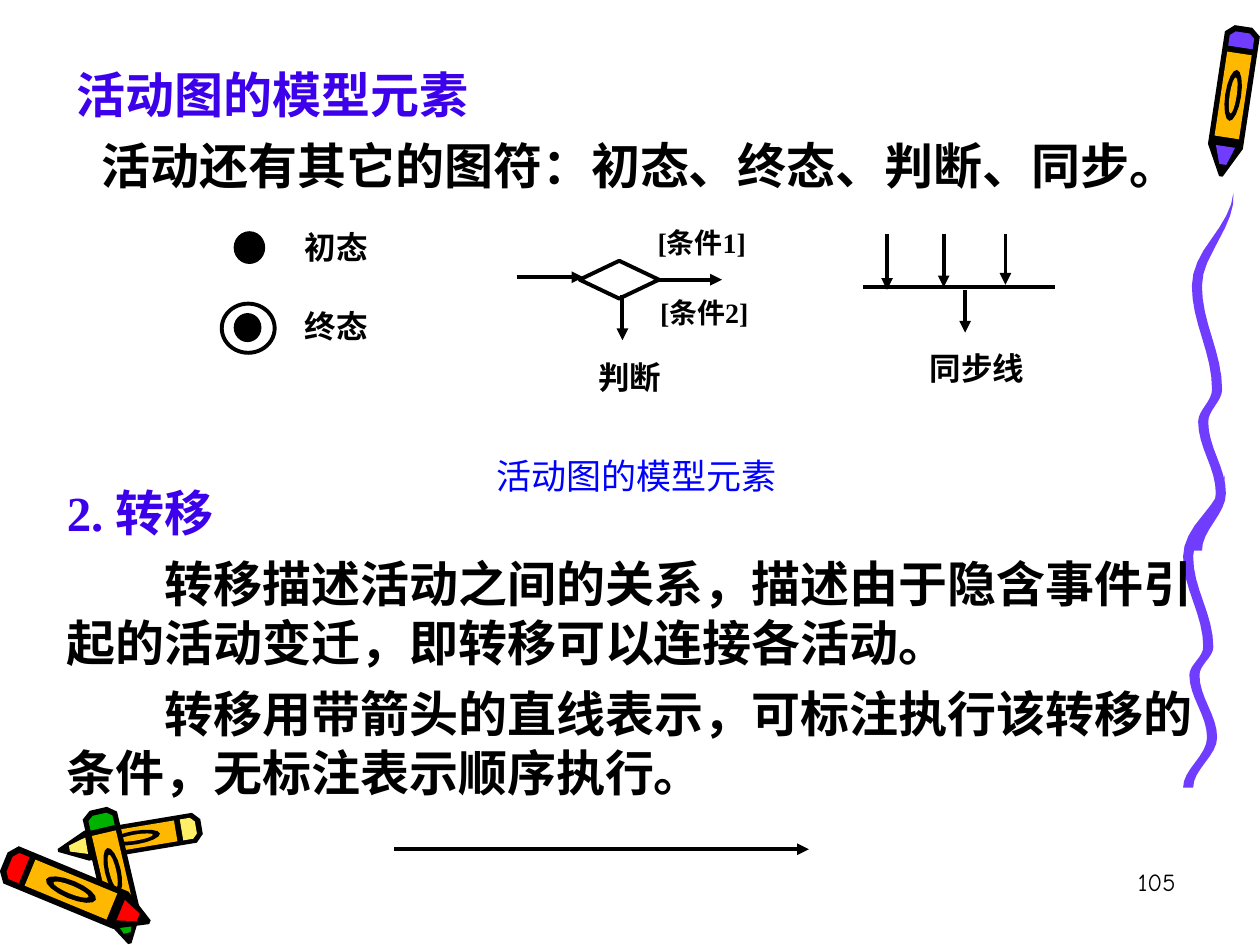
"""Builds the slide on activity diagram elements: states, decision, synchronisation and transition."""
import math

import lxml.etree
import pptx
import pptx.dml.color
import pptx.enum.shapes
import pptx.enum.text
import pptx.oxml.ns
import pptx.util

BLACK, VIOLET, BLUE = "000000", "3D00EA", "0000FF"
PURPLE, ORANGE, RED, GREEN, CREAM = "703DFF", "FFB800", "FF0000", "00B200", "FFEF66"
SERIF, ROUND = "Times New Roman", "Comic Neue"
LEFT, CENTER, RIGHT = (pptx.enum.text.PP_ALIGN.LEFT, pptx.enum.text.PP_ALIGN.CENTER,
                       pptx.enum.text.PP_ALIGN.RIGHT)
OVAL, DIAMOND = pptx.enum.shapes.MSO_SHAPE.OVAL, pptx.enum.shapes.MSO_SHAPE.DIAMOND

TITLE = "活动图的模型元素"
TITLE_FRAME = (0.51, 0.46, 8.43, 0.57)
BODY_FRAME = (0.43, 3.78, 9.3, 2.63)
BODY = [
    ("2. 转移", VIOLET, 0, 0),
    ("转移描述活动之间的关系，描述由于隐含事件引起的活动变迁，即转移可以连接各活动。", BLACK, 7, 56),
    ("转移用带箭头的直线表示，可标注执行该转移的条件，无标注表示顺序执行。", BLACK, 7, 56),
]
LABELS = [
    ("活动还有其它的图符：初态、终态、判断、同步。", (0.71, 1.03, 9.29, 0.57), 28, SERIF, BLACK, True, LEFT),
    ("初态", (2.32, 1.76, 1.14, 0.4), 18, SERIF, BLACK, True, LEFT),
    ("终态", (2.32, 2.39, 0.93, 0.4), 18, SERIF, BLACK, True, LEFT),
    ("[条件1]", (5.12, 1.74, 1.21, 0.37), 16, SERIF, BLACK, True, LEFT),
    ("[条件2]", (5.14, 2.3, 1.14, 0.37), 16, SERIF, BLACK, True, LEFT),
    ("判断", (4.65, 2.79, 1.27, 0.4), 18, SERIF, BLACK, True, LEFT),
    ("同步线", (7.08, 2.72, 1.35, 0.4), 18, SERIF, BLACK, True, CENTER),
    (TITLE, (3.19, 3.56, 3.72, 0.44), 20, SERIF, BLUE, False, CENTER),
    ("105", (7.35, 6.83, 2.08, 0.5), 14, ROUND, BLACK, False, RIGHT),
]

INITIAL_STATE = (1.86, 1.84, 0.24, 0.25)
FINAL_RING = (1.76, 2.41, 0.42, 0.39)
FINAL_CORE = (1.86, 2.49, 0.21, 0.22)
DECISION = (4.6, 2.07, 0.63, 0.3)
DECISION_ENTRY = (4.1, 2.2, 4.63, 2.2)
DECISION_YES = (5.23, 2.22, 5.73, 2.22)
DECISION_NO = (4.94, 2.34, 4.94, 2.7)
SYNC_BAR = (6.85, 2.28, 8.37, 2.28)
SYNC_TOP = 1.86
SYNC_INPUTS = [(7.04, 2.3), (7.49, 2.28), (7.98, 2.26)]
SYNC_OUTPUT = (7.66, 2.3, 7.66, 2.64)
TRANSITION = (3.13, 6.74, 6.42, 6.74)

CRAYONS = [
    {"base": (1.6, 6.56), "tip": (0.46, 6.75), "width": 0.24, "color": CREAM},
    {"base": (0.78, 6.42), "tip": (1.03, 7.49), "width": 0.28, "color": GREEN},
    {"base": (0.03, 6.84), "tip": (1.19, 7.32), "width": 0.32, "color": RED},
    {"base": (9.87, 0.21), "tip": (9.69, 1.4), "width": 0.28, "color": PURPLE},
]
CRAYON_PROFILES = {
    "shell": [(0, 0.5), (0.05, 1), (0.8, 1), (1, 0.1)],
    "cap": [(0.04, 0.4), (0.07, 0.7), (0.14, 0.7)],
    "barrel": [(0.18, 0.7), (0.74, 0.7)],
    "point": [(0.8, 0.55), (0.92, 0.2)],
}
RIBBONS = [(9.38, 3.77, 2.48), (9.45, 1.53, 2.84)]
RIBBON_TURNS = [(0, 0.34), (0.26, 0.05), (0.55, 0.21), (0.64, 0.1), (0.84, 0.24), (1, 0.05)]
RIBBON_HALF_WIDTH = 0.04
STEPS = 8


def inches(*values):
    return [pptx.util.Cm(value * 2.54) for value in values]


def paint(target, color):
    target.rgb = pptx.dml.color.RGBColor.from_string(color)


def fill_shape(shape, color):
    shape.shadow.inherit = False
    if color:
        shape.fill.solid()
        paint(shape.fill.fore_color, color)
    else:
        shape.fill.background()


def add_child(parent, name, **attributes):
    return lxml.etree.SubElement(parent, pptx.oxml.ns.qn(name), attributes)


def place(box, frame):
    box.left, box.top, box.width, box.height = inches(*frame)
    box.text_frame.word_wrap = True
    box.text_frame.auto_size = pptx.enum.text.MSO_AUTO_SIZE.NONE
    box.text_frame.vertical_anchor = pptx.enum.text.MSO_ANCHOR.TOP


def write(para, text, size, font, color, bold, align=LEFT, before=0):
    para.alignment = align
    para.space_before = pptx.util.Pt(before)
    span = para.add_run()
    span.text = text
    span.font.size, span.font.name, span.font.bold = pptx.util.Pt(size), font, bold
    paint(span.font.color, color)


def draw_outline(group, points, color):
    corners = [tuple(inches(*point)) for point in points]
    builder = group.shapes.build_freeform(*corners[0])
    builder.add_line_segments(corners[1:], close=True)
    shape = builder.convert_to_shape()
    fill_shape(shape, color)
    shape.line.fill.background()


def mirror(profile):
    return profile + [(along, -across) for along, across in reversed(profile)]


def oval(along_radius, across_radius, center=0.46):
    angles = [math.pi * step / STEPS for step in range(2 * STEPS)]
    return [(center + along_radius * math.cos(angle), across_radius * math.sin(angle)) for angle in angles]


def draw_crayon(group, base, tip, width, color):
    """Maps parts given as (along the axis, across it) onto the line from base to tip."""
    run, rise = tip[0] - base[0], tip[1] - base[1]
    half = width / 2 / math.hypot(run, rise)
    profiles = {name: mirror(profile) for name, profile in CRAYON_PROFILES.items()}
    parts = [
        (profiles["shell"], BLACK), (profiles["cap"], color), (profiles["barrel"], ORANGE),
        (profiles["point"], color), (oval(0.17, 0.45), BLACK), (oval(0.12, 0.2), ORANGE),
    ]
    for part, part_color in parts:
        points = [(base[0] + along * run - across * half * rise, base[1] + along * rise + across * half * run)
                  for along, across in part]
        draw_outline(group, points, part_color)


def draw_ribbon(group, left, top, height):
    """Eases from turn to turn with a cosine, and gives the curve a width that grows from a point."""
    center = []
    for (start, first), (end, second) in zip(RIBBON_TURNS, RIBBON_TURNS[1:]):
        for step in range(STEPS):
            ease = (1 - math.cos(math.pi * step / STEPS)) / 2
            center.append((start + (end - start) * step / STEPS, first + (second - first) * ease))
    center.append(RIBBON_TURNS[-1])
    edges = {}
    for side in (-1, 1):
        edges[side] = [(left + across + side * RIBBON_HALF_WIDTH * min(1, down * 6), top + down * height)
                       for down, across in center]
    draw_outline(group, edges[-1] + edges[1][::-1], PURPLE)


def draw_decoration(page):
    group = page.shapes.add_group_shape()
    for ribbon in RIBBONS:
        draw_ribbon(group, *ribbon)
    for crayon in CRAYONS:
        draw_crayon(group, **crayon)
    group.element.getparent().insert(2, group.element)


def draw_symbol(page, kind, frame, fill, width):
    shape = page.shapes.add_shape(kind, *inches(*frame))
    fill_shape(shape, fill)
    paint(shape.line.color, BLACK)
    shape.line.width = pptx.util.Pt(width)
    return shape


def draw_line(page, ends, arrow=True):
    line = page.shapes.add_connector(pptx.enum.shapes.MSO_CONNECTOR.STRAIGHT, *inches(*ends))
    paint(line.line.color, BLACK)
    line.line.width = pptx.util.Pt(2.25)
    if arrow:
        add_child(line.element.spPr.find(pptx.oxml.ns.qn("a:ln")), "a:tailEnd", type="triangle")
    add_child(line.element.spPr, "a:effectLst")
    return line


def draw_diagram(page):
    draw_symbol(page, OVAL, INITIAL_STATE, BLACK, 0.75)
    draw_symbol(page, OVAL, FINAL_RING, None, 2.25)
    draw_symbol(page, OVAL, FINAL_CORE, BLACK, 0.75)
    decision = draw_symbol(page, DIAMOND, DECISION, None, 2.25)
    draw_line(page, DECISION_YES).begin_connect(decision, 3)
    draw_line(page, SYNC_BAR, arrow=False)
    sync_inputs = [(x, SYNC_TOP, x, bottom) for x, bottom in SYNC_INPUTS]
    for ends in [DECISION_ENTRY, DECISION_NO, *sync_inputs, SYNC_OUTPUT, TRANSITION]:
        draw_line(page, ends)


def write_body(body):
    place(body, BODY_FRAME)
    for index, (text, color, before, indent) in enumerate(BODY):
        para = body.text_frame.add_paragraph() if index else body.text_frame.paragraphs[0]
        properties = para._p.get_or_add_pPr()
        properties.set("marL", "0")
        properties.set("indent", str(pptx.util.Pt(indent)))
        add_child(properties, "a:buNone")
        write(para, text, 28, SERIF, color, True, before=before)


def main():
    deck = pptx.Presentation()
    deck.slide_width, deck.slide_height = inches(10, 7.5)
    page = deck.slides.add_slide(deck.slide_layouts[1])
    place(page.shapes.title, TITLE_FRAME)
    write(page.shapes.title.text_frame.paragraphs[0], TITLE, 28, SERIF, VIOLET, True)
    write_body(page.placeholders[1])
    draw_decoration(page)
    draw_diagram(page)
    for text, frame, *style in LABELS:
        box = page.shapes.add_textbox(*inches(*frame))
        place(box, frame)
        write(box.text_frame.paragraphs[0], text, *style)
    deck.save("out.pptx")


if __name__ == "__main__":
    main()
